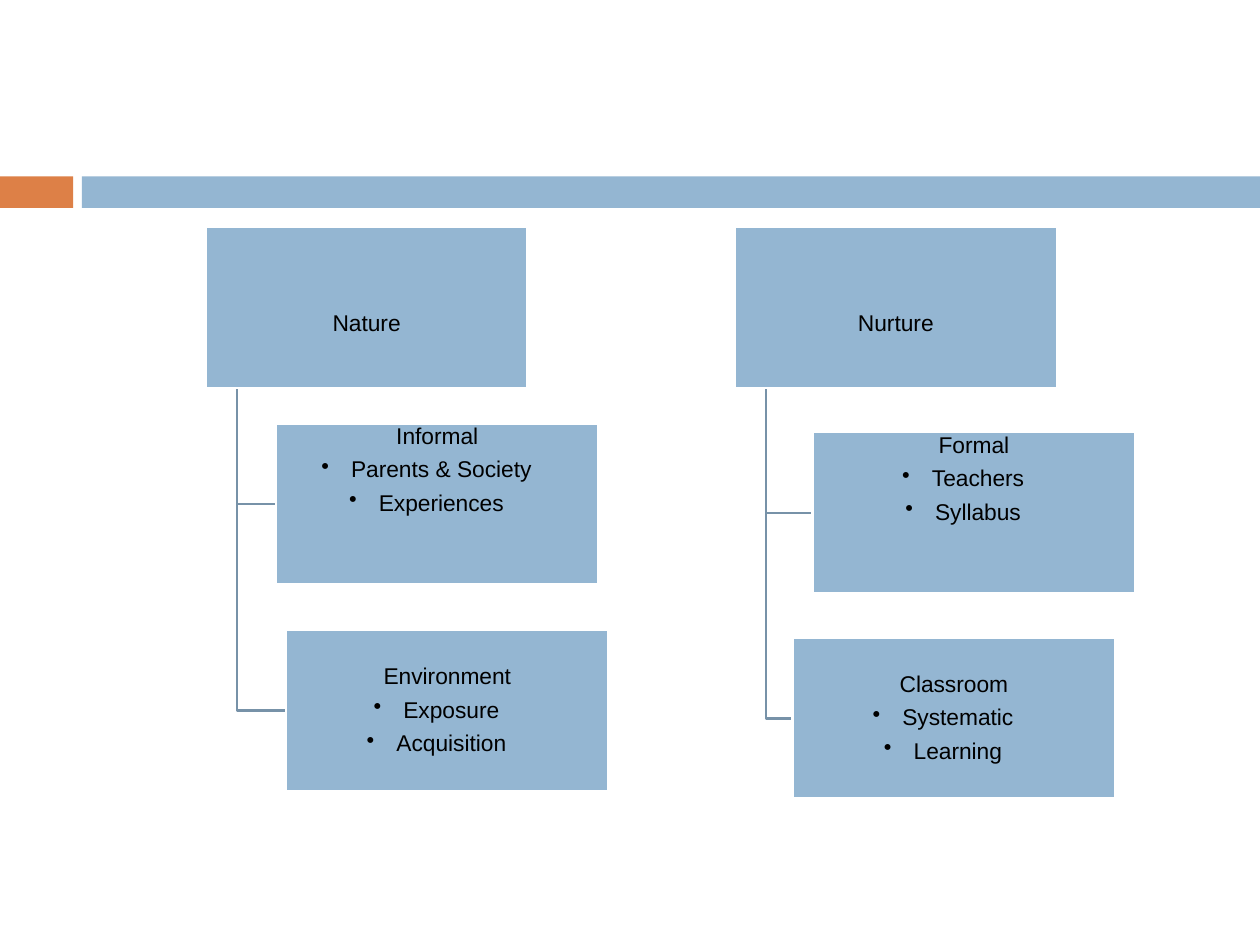
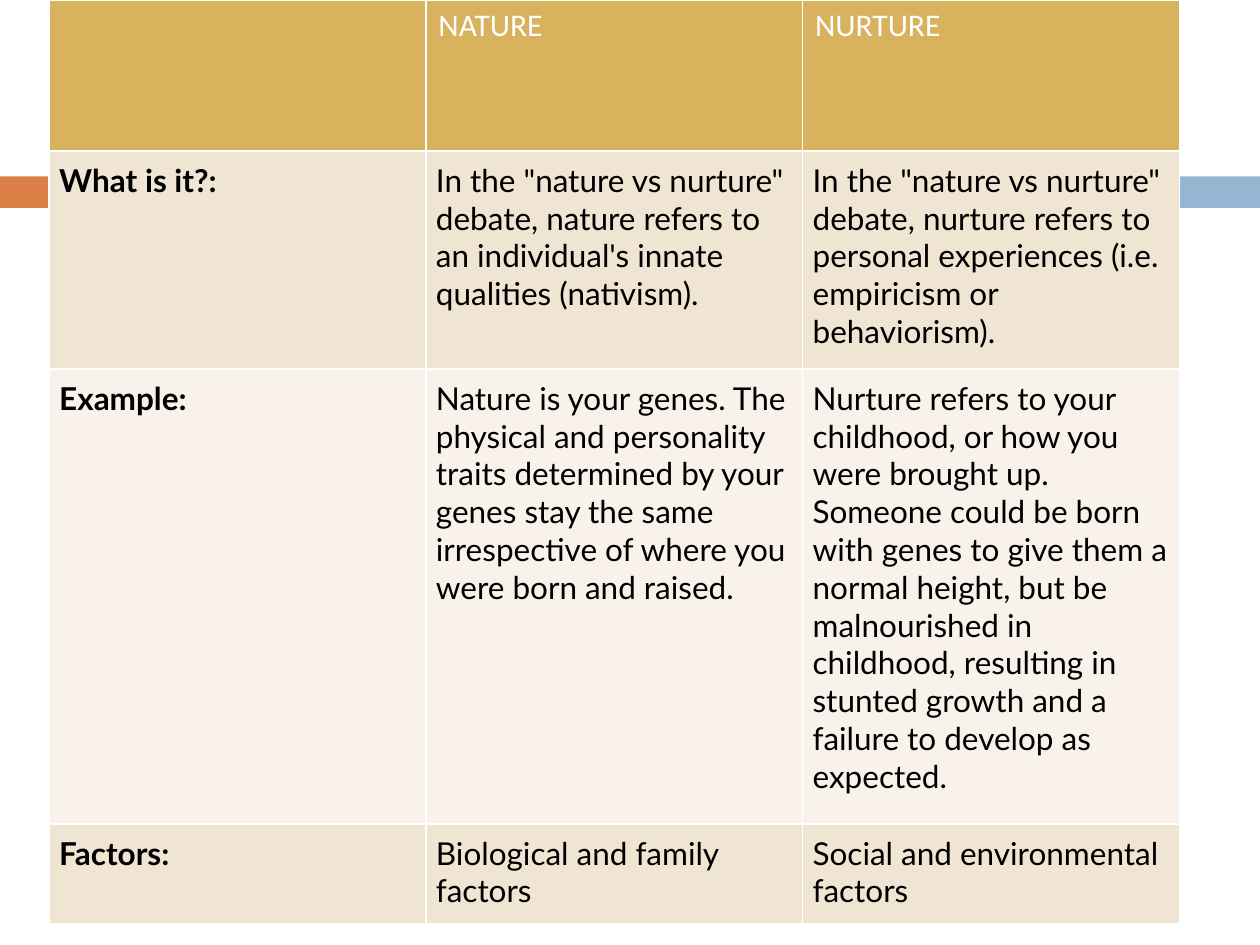
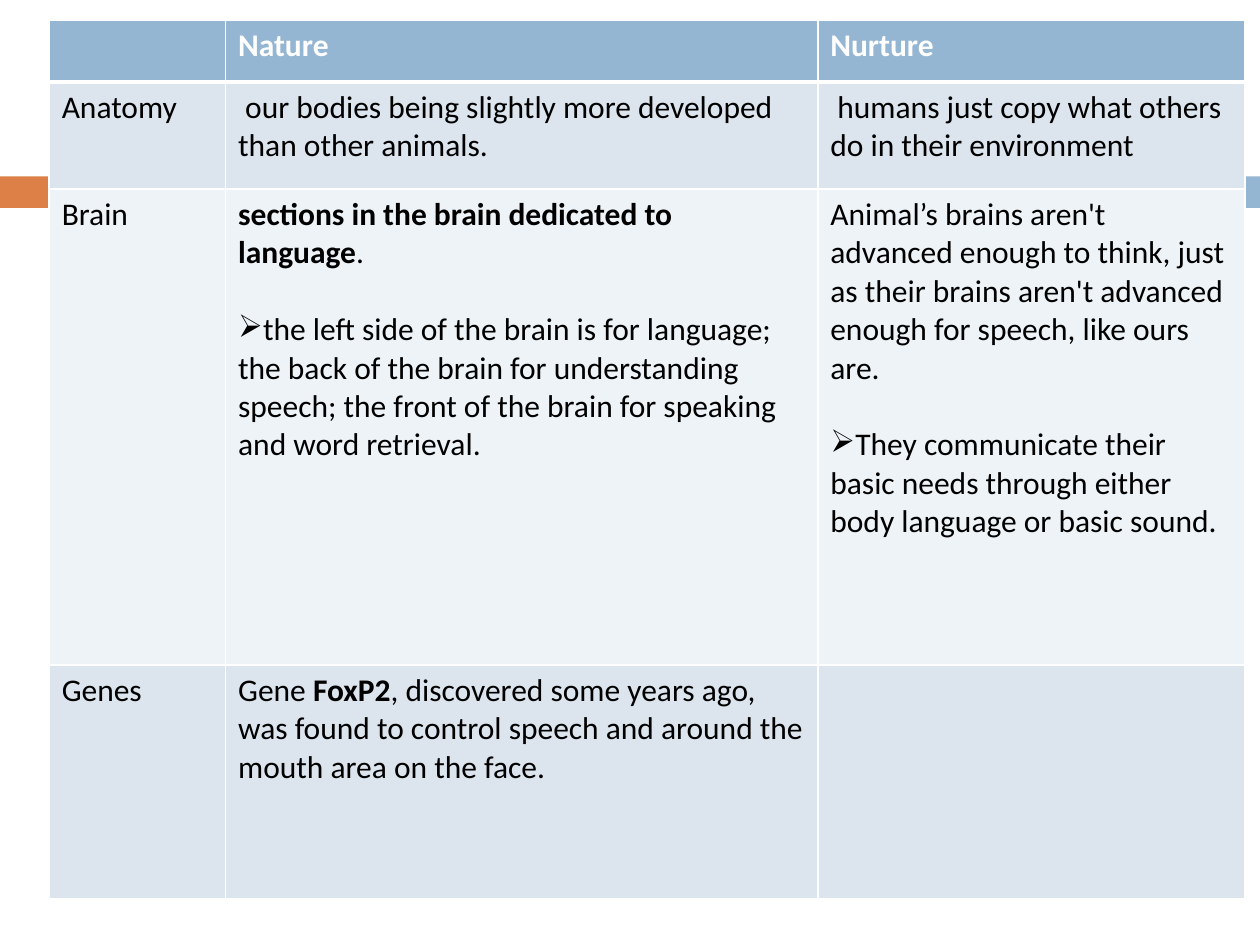
from lxml.etree import SubElement
from pptx import Presentation
from pptx.dml.color import RGBColor
from pptx.enum.shapes import MSO_SHAPE as Preset
from pptx.enum.text import MSO_ANCHOR as Anchor, PP_ALIGN as Align
from pptx.oxml import parse_xml
from pptx.oxml.ns import nsdecls, qn
from pptx.util import Inches, Pt

BLUE, ORANGE, GOLD = "94B6D2", "DD8047", "D8B25C"
STEEL, WHITE, BLACK = "7792A8", "FFFFFF", "000000"
SAND = ("F0E4D2", "F8F2EA")
MIST = ("DCE5EE", "EEF3F7")
NODE_WIDTH, NODE_HEIGHT, STEM_INSET = 2.56, 1.28, 0.25
NODE_MARGIN, NODE_LINE = 0.01, 0.26

TREES = [
    ("Nurture", 5.83, [
        (6.45, 3.43, Anchor.TOP, ["Formal", "Teachers", "Syllabus"]),
        (6.29, 5.06, Anchor.MIDDLE, ["Classroom", "Systematic", "Learning"]),
    ]),
    ("Nature", 1.63, [
        (2.19, 3.36, Anchor.TOP, ["Informal", "Parents & Society", "Experiences"]),
        (2.27, 5.0, Anchor.MIDDLE, ["Environment", "Exposure", "Acquisition"]),
    ]),
]

DEBATE = [
    ["", "NATURE", "NURTURE"],
    ["**What is it?:**",
     "In the \"nature vs nurture\" debate, nature refers to an individual's innate "
     "qualities (nativism).",
     "In the \"nature vs nurture\" debate, nurture refers to personal experiences "
     "(i.e. empiricism or behaviorism)."],
    ["**Example:**",
     "Nature is your genes. The physical and personality traits determined by your "
     "genes stay the same irrespective of where you were born and raised.",
     "Nurture refers to your childhood, or how you were brought up. Someone could be "
     "born with genes to give them a normal height, but be malnourished in childhood, "
     "resulting in stunted growth and a failure to develop as expected."],
    ["**Factors:**", "Biological and family factors", "Social and environmental factors"],
]

LANGUAGE = [
    ["", "**Nature**", "**Nurture**"],
    ["Anatomy",
     " our bodies being slightly more developed than other animals.",
     " humans just copy what others do in their environment"],
    ["Brain",
     "**sections in the brain dedicated to language**.\n"
     "the left side of the brain is for language; the back of the brain for "
     "understanding speech; the front of the brain for speaking and word retrieval.",
     "Animal’s brains aren't advanced enough to think, just as their brains aren't "
     "advanced enough for speech, like ours are.\n"
     "They communicate their basic needs through either body language or basic sound."],
    ["Genes",
     "Gene **FoxP2**, discovered some years ago, was found to control speech and "
     "around the mouth area on the face.",
     ""],
]


def rgb(code):
    """Turn a hex string into a colour."""
    return RGBColor.from_string(code)


def write(frame, text, *, font, size, color=BLACK, bullet=None, align=None,
          spacing=None, before=0, after=0):
    """Fill a frame line by line, with bold between ** marks and bullets after line one."""
    for index, line in enumerate(text.split("\n")):
        para = frame.add_paragraph() if index else frame.paragraphs[0]
        if index and bullet:
            SubElement(para._p.get_or_add_pPr(), qn("a:buChar"), char=bullet)
        para.alignment = align
        para.line_spacing = spacing
        para.space_before = Pt(before if index else 0)
        para.space_after = Pt(after)
        for part, words in enumerate(line.split("**")):
            if words:
                span = para.add_run()
                span.text = words
                span.font.name, span.font.size = font, Pt(size)
                span.font.bold = part % 2 == 1
                span.font.color.rgb = rgb(color)


def set_margins(holder, left, top, right, bottom):
    """Set the four inner margins of a frame or a cell."""
    holder.margin_left, holder.margin_top = Inches(left), Inches(top)
    holder.margin_right, holder.margin_bottom = Inches(right), Inches(bottom)


def draw_borders(cell, top, bottom):
    """Draw white cell borders, with top and bottom widths in points."""
    widths = {"lnL": 1, "lnR": 1, "lnT": top, "lnB": bottom}
    for position, (tag, width) in enumerate(widths.items()):
        cell._tc.get_or_add_tcPr().insert(position, parse_xml(
            f'<a:{tag} {nsdecls("a")} w="{Pt(width)}"><a:solidFill>'
            f'<a:srgbClr val="{WHITE}"/></a:solidFill></a:{tag}>'))


class Deck:
    """Holds the presentation, its style and the current page."""

    def __init__(self):
        """Open an empty deck of 10 by 7.5 inches."""
        self.show = Presentation()
        self.show.slide_width, self.show.slide_height = Inches(10), Inches(7.5)
        self.shapes = None

    def add_page(self):
        """Start a page with the two shared bands."""
        self.shapes = self.show.slides.add_slide(self.show.slide_layouts[6]).shapes
        self.add_box(0, 1.4, 0.58, 0.25, ORANGE)
        self.add_box(0.65, 1.4, 9.35, 0.25, BLUE)

    def add_box(self, left, top, width, height, fill, outline=None):
        """Add a flat rectangle."""
        box = self.shapes.add_shape(
            Preset.RECTANGLE, Inches(left), Inches(top), Inches(width), Inches(height))
        box.shadow.inherit = False
        box.fill.solid()
        box.fill.fore_color.rgb = rgb(fill)
        if outline:
            box.line.color.rgb = rgb(outline)
            box.line.width = Pt(1.5)
        else:
            box.line.fill.background()
        return box

    def add_node(self, left, top, text, anchor=Anchor.MIDDLE, drop=0):
        """Add a tree node whose text is lowered by a drop."""
        box = self.add_box(left, top, NODE_WIDTH, NODE_HEIGHT, BLUE, WHITE)
        frame = box.text_frame
        frame.word_wrap = True
        frame.vertical_anchor = anchor
        set_margins(frame, NODE_MARGIN, NODE_MARGIN + drop, NODE_MARGIN, NODE_MARGIN)
        write(frame, text, font="Arial", size=13, bullet="•", align=Align.CENTER,
              spacing=0.9, after=5.1)

    def add_branch(self, left, top, right, bottom):
        """Add an open elbow line going down and then right."""
        builder = self.shapes.build_freeform(Inches(left), Inches(top))
        corners = [(left, bottom), (right, bottom)]
        builder.add_line_segments([(Inches(x), Inches(y)) for x, y in corners], close=False)
        elbow = builder.convert_to_shape()
        elbow.shadow.inherit = False
        elbow.fill.background()
        elbow.line.color.rgb = rgb(STEEL)
        elbow.line.width = Pt(1.5)

    def add_tree(self, title, left, children, top=1.8):
        """Add a root node with its branches and child nodes."""
        bottom = top + NODE_HEIGHT
        for child_left, child_top, *_ in children:
            self.add_branch(left + STEM_INSET, bottom, child_left, child_top + NODE_HEIGHT / 2)
        self.add_node(left, top, title, drop=NODE_LINE)
        for child_left, child_top, anchor, lines in children:
            self.add_node(child_left, child_top, "\n".join(lines), anchor)

    def add_grid(self, top, widths, heights, rows, head_fill, band_fills,
                 body_font="Calibri", margins=(0.1, 0.05, 0.1, 0.05), rule=1):
        """Add a table with a header row and banded body rows."""
        table = self.shapes.add_table(
            len(rows), len(widths), Inches(0.39), Inches(top),
            Inches(sum(widths)), Inches(sum(heights))).table
        table.first_row = table.horz_banding = False
        for column, width in zip(table.columns, widths):
            column.width = Inches(width)
        for index, (row, height, texts) in enumerate(zip(table.rows, heights, rows)):
            row.height = Inches(height)
            for cell, text in zip(row.cells, texts):
                cell.fill.solid()
                cell.fill.fore_color.rgb = rgb(band_fills[(index - 1) % 2] if index else head_fill)
                draw_borders(cell, rule if index == 1 else 1, 1 if index else rule)
                if index:
                    set_margins(cell, *margins)
                write(cell.text_frame, text, font=body_font if index else "Calibri",
                      size=18, color=BLACK if index else WHITE, bullet="➢", before=22)


def main():
    """Build the three pages and save them."""
    deck = Deck()
    deck.add_page()
    for title, left, children in TREES:
        deck.add_tree(title, left, children)
    deck.add_page()
    deck.add_grid(0, [2.99] * 3, [1.2, 1.73, 3.61, 0.79], DEBATE, GOLD, SAND,
                  body_font="Lato", margins=(0.08, 0.08, 0.08, 0.07))
    deck.add_page()
    deck.add_grid(0.16, [1.4, 4.7, 3.39], [0.49, 0.85, 3.78, 1.85], LANGUAGE, BLUE, MIST,
                  rule=3)
    deck.show.save("out.pptx")


if __name__ == "__main__":
    main()
